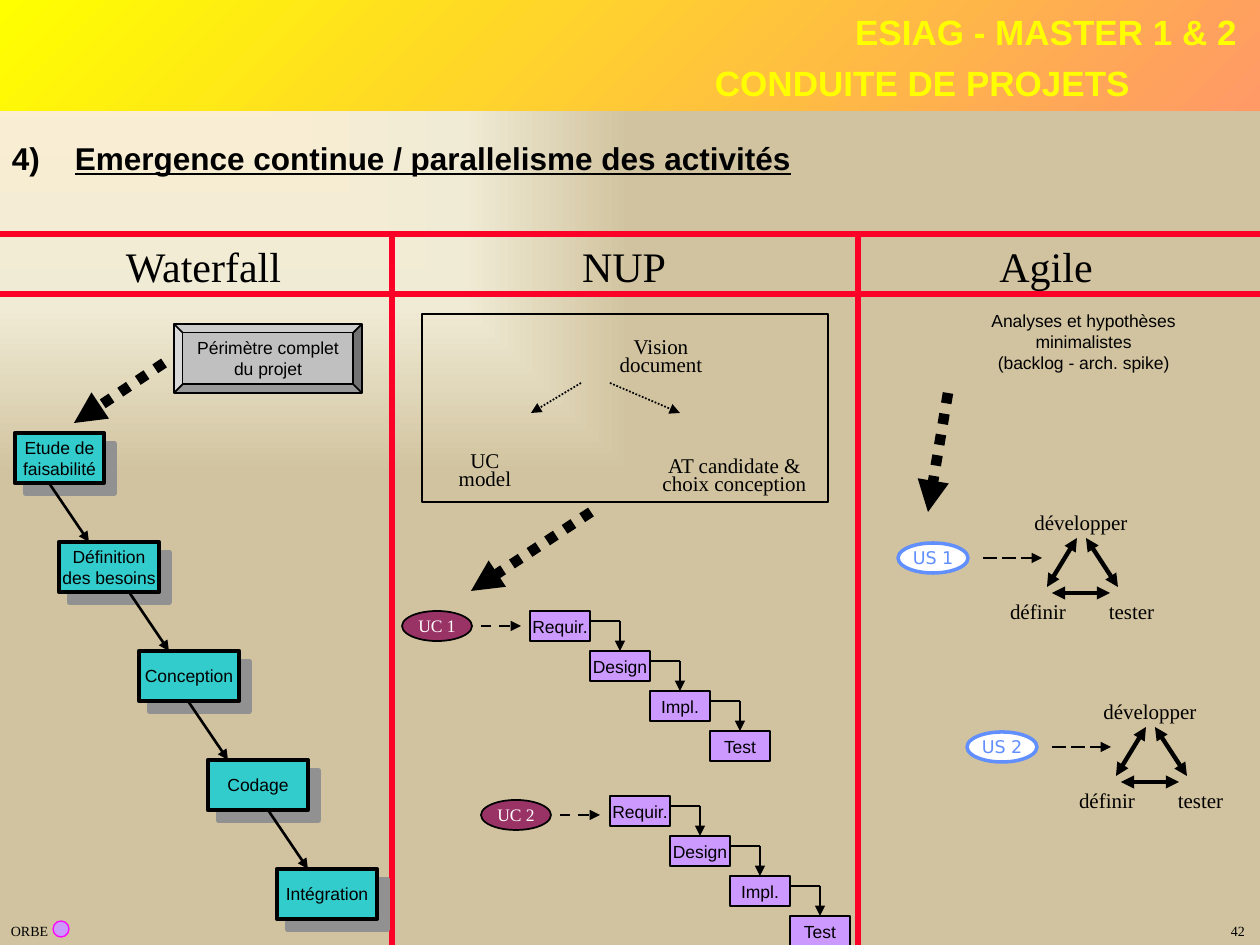
from dataclasses import dataclass
from itertools import pairwise

from pptx import Presentation
from pptx import util as u
from pptx.dml.color import RGBColor
from pptx.enum import dml, shapes, text
from pptx.oxml import parse_xml
from pptx.oxml.ns import nsdecls, qn
from pptx.oxml.xmlchemy import OxmlElement

EMU_PER_PX = 914400 / 126
WIDTH, HEIGHT = 1260, 945
SHAPE, DASH = shapes.MSO_SHAPE, dml.MSO_LINE


@dataclass(frozen=True)
class Theme:
    black: str = "000000"
    white: str = "FFFFFF"
    yellow: str = "FFFF00"
    orange: str = "FF9966"
    red: str = "FC0128"
    teal: str = "33CCCC"
    grey: str = "C0C0C0"
    shadow: str = "919191"
    plum: str = "993366"
    lilac: str = "CC99FF"
    blue: str = "618FFD"
    magenta: str = "FF00FF"
    backdrop: tuple = ((0, "FFEFD1"), (65, "F0EBD5"), (100, "D1C39F"))
    sans: str = "Arial"
    serif: str = "Times New Roman"
    ui: str = "DejaVu Sans"
    tiny: int = 8
    small: int = 10
    body: int = 12
    title: int = 18
    banner: int = 20
    heading: int = 24


@dataclass(frozen=True)
class Label:
    text: str
    box: tuple


@dataclass(frozen=True)
class Step:
    text: str
    x: int
    width: int
    arrow_x: int


@dataclass(frozen=True)
class UseCase:
    name: str
    oval: tuple
    stages: tuple


@dataclass(frozen=True)
class Story:
    name: str
    x: int
    y: int


T = Theme()

HEADINGS = (Label("Waterfall", (112, 234, 183, 63)),
            Label("NUP", (571, 234, 106, 63)),
            Label("Agile", (987, 234, 118, 63)))
STEPS = (Step("Etude de\nfaisabilité", 15, 89, 49),
         Step("Définition\ndes besoins", 59, 100, 129),
         Step("Conception", 139, 100, 188),
         Step("Codage", 208, 100, 268),
         Step("Intégration", 277, 100, 0))
VISION = (Label("Vision\ndocument", (607, 334, 108, 48)),
          Label("UC\nmodel", (446, 448, 78, 48)),
          Label("AT candidate &\nchoix conception", (650, 453, 169, 48)))
USE_CASES = (UseCase("UC 1", (402, 611), (530, 611)),
             UseCase("UC 2", (481, 800), (610, 796)))
STAGES = ("Requir.", "Design", "Impl.", "Test")
STORIES = (Story("US 1", 898, 543), Story("US 2", 967, 732))
# Offsets from the top left corner of the story's oval
CYCLE = (Label("développer", (124, -40, 118, 38)),
         Label("définir", (99, 49, 82, 38)),
         Label("tester", (198, 49, 71, 38)))
CYCLE_ARROWS = ((188, -5, 220, 44), (179, -5, 149, 44), (154, 50, 212, 50))


def px(n: float) -> u.Emu:
    return u.Emu(round(n * EMU_PER_PX))


def rgb(color: str) -> RGBColor:
    return RGBColor.from_string(color)


def write(tf, content: str, *, size=T.small, font=T.sans, color=T.black, bold=False,
          underline=False, align=text.PP_ALIGN.CENTER, spacing=None, wrap=False):
    tf.margin_left = tf.margin_right = tf.margin_top = tf.margin_bottom = 0
    tf.word_wrap = wrap
    tf.vertical_anchor = text.MSO_ANCHOR.MIDDLE
    tf.text = content
    for p in tf.paragraphs:
        p.alignment = align
        p.line_spacing = spacing
        for r in p.runs:
            f = r.font
            f.size, f.name, f.bold, f.underline = u.Pt(size), font, bold, underline
            f.color.rgb = rgb(color)


def add_label(s, content: str, box: tuple, **fmt):
    sp = s.shapes.add_textbox(*map(px, box))
    write(sp.text_frame, content, **fmt)
    return sp


def add_box(s, kind, box: tuple, content="", *, fill=None, line=T.black, weight=1.0, **fmt):
    sp = s.shapes.add_shape(kind, *map(px, box))
    sp.shadow.inherit = False
    if fill:
        sp.fill.solid()
        sp.fill.fore_color.rgb = rgb(fill)
    else:
        sp.fill.background()
    sp.line.color.rgb = rgb(line)
    sp.line.width = u.Pt(weight)
    if content:
        write(sp.text_frame, content, **fmt)
    return sp


def add_line(s, ends: tuple, weight=1.0, *, color=T.black, dash=None, head=False, tail=False):
    """Draw from the first point to the second; head and tail are arrowheads there."""
    c = s.shapes.add_connector(shapes.MSO_CONNECTOR.STRAIGHT, *map(px, ends))
    c.line.color.rgb = rgb(color)
    c.line.width = u.Pt(weight)
    if dash:
        c.line.dash_style = dash
    sp_pr = c.element.spPr
    for tag, wanted in (("a:headEnd", head), ("a:tailEnd", tail)):
        if wanted:
            end = OxmlElement(tag)
            end.set("type", "triangle")
            sp_pr.find(qn("a:ln")).append(end)
    sp_pr.append(OxmlElement("a:effectLst"))
    return c


def add_hard_shadow(sp):
    sp.element.spPr.find(qn("a:effectLst")).append(parse_xml(
        f'<a:outerShdw {nsdecls("a")} dist="107950" dir="2700000" algn="ctr" '
        f'rotWithShape="0"><a:srgbClr val="{T.shadow}"/></a:outerShdw>'))


def paint_background(s):
    stops = "".join(f'<a:gs pos="{pos * 1000}"><a:srgbClr val="{color}"/></a:gs>'
                    for pos, color in T.backdrop)
    s.element.cSld.insert(0, parse_xml(
        f'<p:bg {nsdecls("p", "a")}><p:bgPr><a:gradFill rotWithShape="0">'
        f'<a:gsLst>{stops}</a:gsLst><a:path path="rect"><a:fillToRect r="100000" b="100000"/>'
        '</a:path></a:gradFill><a:effectLst/></p:bgPr></p:bg>'))


def draw_frame(s):
    """Banner, numbered title, footer, red grid and column headings."""
    banner = add_box(s, SHAPE.RECTANGLE, (0, 0, WIDTH, 111))
    banner.line.fill.background()
    banner.fill.gradient()
    banner.fill.gradient_angle = 315
    for stop, color in zip(banner.fill.gradient_stops, (T.yellow, T.orange)):
        stop.color.rgb = rgb(color)
    for content, box in (("ESIAG - MASTER 1 & 2", (737, 10, 500, 42)),
                         ("CONDUITE DE PROJETS", (630, 61, 500, 42))):
        add_label(s, content, box, size=T.banner, color=T.yellow, bold=True,
                  align=text.PP_ALIGN.RIGHT)

    title = add_label(s, "Emergence continue / parallelisme des activités", (12, 133, 1235, 50),
                      size=T.title, bold=True, underline=True, align=text.PP_ALIGN.LEFT, wrap=True)
    p_pr = title.text_frame.paragraphs[0]._p.get_or_add_pPr()
    p_pr.set("marL", str(px(63)))
    p_pr.set("indent", str(-px(63)))
    p_pr.append(parse_xml(f'<a:buAutoNum {nsdecls("a")} type="arabicParenR" startAt="4"/>'))

    add_label(s, "ORBE", (0, 916, 59, 29), size=T.tiny, font=T.serif)
    add_box(s, SHAPE.OVAL, (53, 921, 16, 16), fill=T.lilac, line=T.magenta, weight=0.75)
    add_label(s, "42", (1218, 916, 40, 29), size=T.tiny, font=T.serif)

    for x in (392, 858):
        add_line(s, (x, 234, x, HEIGHT), 3, color=T.red)
    for y in (234, 294):
        add_line(s, (0, y, WIDTH, y), 3, color=T.red)
    for heading in HEADINGS:
        add_label(s, heading.text, heading.box, size=T.heading, font=T.serif)


def add_big_arrow(s, ends: tuple):
    add_line(s, ends, 6, dash=DASH.ROUND_DOT, tail=True)


def draw_waterfall(s):
    add_box(s, SHAPE.BEVEL, (174, 324, 188, 69), "Périmètre complet\ndu projet", fill=T.grey)
    add_big_arrow(s, (164, 363, 74, 423))
    top, pitch, height = 433, 109, 50
    for i, step in enumerate(STEPS):
        y = top + i * pitch
        add_hard_shadow(add_box(s, SHAPE.RECTANGLE, (step.x, y, step.width, height), step.text,
                                fill=T.teal, weight=2.5))
    for i, step in enumerate(STEPS[:-1]):
        y = top + i * pitch
        add_line(s, (step.arrow_x, y + height, step.arrow_x + 40, y + pitch), 1.5, tail=True)


def draw_use_case(s, case: UseCase):
    x, y = case.oval
    add_box(s, SHAPE.OVAL, (x, y, 70, 30), case.name, fill=T.plum, font=T.serif, color=T.white)
    add_line(s, (x + 79, y + 15, x + 119, y + 15), 1.5, dash=DASH.DASH, tail=True)
    x, y = case.stages
    corners = [(x + 60 * i, y + 40 * i) for i in range(len(STAGES))]
    boxes = [add_box(s, SHAPE.RECTANGLE, (*corner, 60, 30), name, fill=T.lilac, weight=1.5)
             for name, corner in zip(STAGES, corners)]
    for ((x, y), (next_x, next_y)), target in zip(pairwise(corners), boxes[1:]):
        middle = next_x + 30
        add_line(s, (x + 60, y + 10, middle, y + 10))
        add_line(s, (middle, y + 10, middle, next_y), tail=True).end_connect(target, 0)


def draw_nup(s):
    add_box(s, SHAPE.RECTANGLE, (422, 314, 406, 188))
    for label in VISION:
        add_label(s, label.text, label.box, size=T.body, font=T.serif, spacing=0.7)
    for ends in ((581, 383, 531, 413), (610, 383, 680, 413)):
        add_line(s, ends, dash=DASH.ROUND_DOT, tail=True)
    add_big_arrow(s, (591, 512, 471, 591))
    for case in USE_CASES:
        draw_use_case(s, case)


def draw_story(s, story: Story):
    x, y = story.x, story.y
    add_box(s, SHAPE.OVAL, (x, y, 70, 30), story.name, fill=T.white, line=T.blue, weight=2,
            font=T.ui, color=T.blue)
    add_line(s, (x + 85, y + 15, x + 144, y + 15), dash=DASH.LONG_DASH, tail=True)
    for label in CYCLE:
        dx, dy, w, h = label.box
        add_label(s, label.text, (x + dx, y + dy, w, h), size=T.body, font=T.serif)
    for x1, y1, x2, y2 in CYCLE_ARROWS:
        add_line(s, (x + x1, y + y1, x + x2, y + y2), 2.5, head=True, tail=True)


def draw_agile(s):
    add_label(s, "Analyses et hypothèses\nminimalistes\n(backlog - arch. spike)",
              (979, 304, 209, 76))
    add_big_arrow(s, (948, 393, 928, 512))
    for story in STORIES:
        draw_story(s, story)


def main():
    prs = Presentation()
    prs.slide_width, prs.slide_height = px(WIDTH), px(HEIGHT)
    s = prs.slides.add_slide(prs.slide_layouts[6])
    paint_background(s)
    draw_frame(s)
    draw_waterfall(s)
    draw_nup(s)
    draw_agile(s)
    prs.save("out.pptx")


if __name__ == "__main__":
    main()
